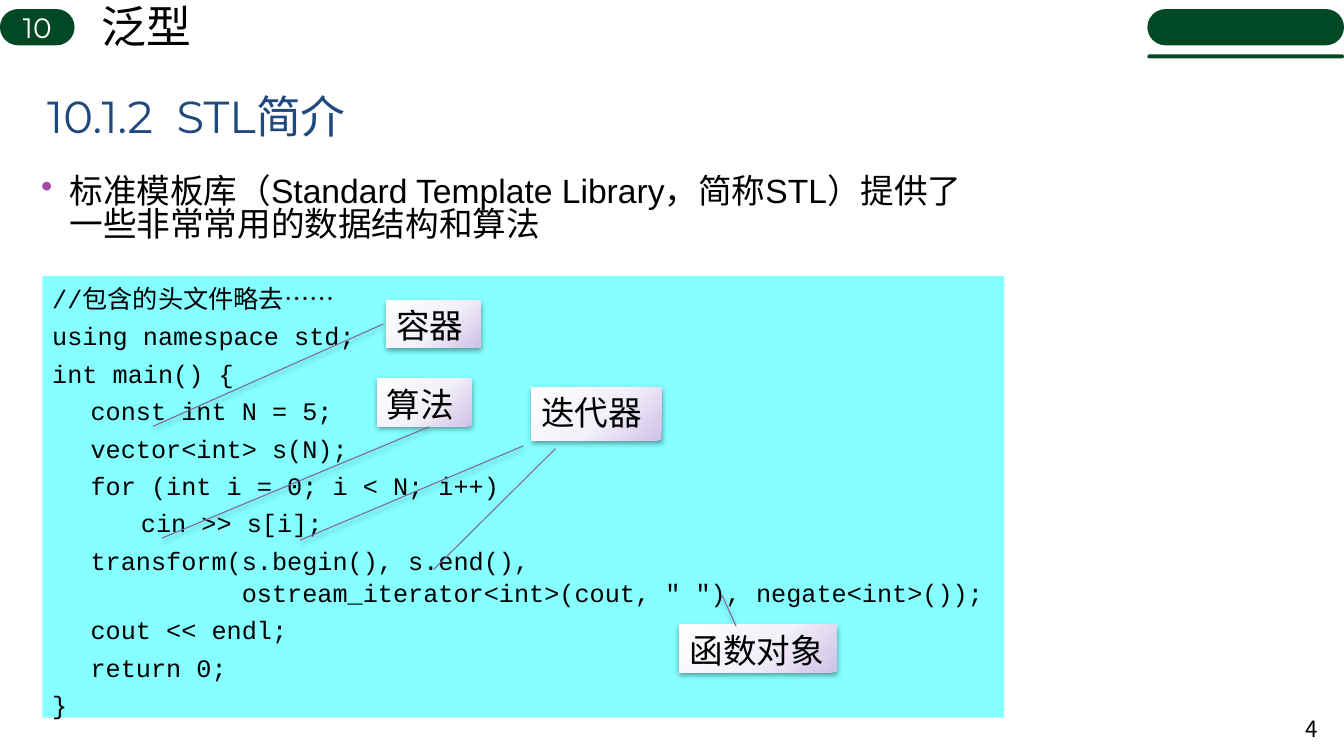
from lxml.etree import SubElement
from pptx import Presentation
from pptx.dml.color import RGBColor
from pptx.enum.shapes import MSO_CONNECTOR, MSO_SHAPE
from pptx.enum.text import MSO_ANCHOR, PP_ALIGN
from pptx.oxml import parse_xml
from pptx.oxml.ns import nsdecls, qn
from pptx.util import Inches, Pt

GREEN, PURPLE, BLACK = "014924", "8064A2", "000000"
CJK_FONT = "Noto Sans CJK SC"


def color(value):
    return RGBColor.from_string(value)


def write(shape, lines, font, size, ink=BLACK, wrap=True,
          anchor=MSO_ANCHOR.TOP, **formats):
    """Fill a shape with paragraphs; formats holds paragraph attributes."""
    frame = shape.text_frame
    frame.word_wrap = wrap
    frame.vertical_anchor = anchor
    for number, line in enumerate(lines):
        para = frame.add_paragraph() if number else frame.paragraphs[0]
        para.text = line
        for name, value in {"alignment": PP_ALIGN.LEFT, **formats}.items():
            if number or name != "space_before":
                setattr(para, name, value)
        for span in para.runs:
            for name, value in {"name": font, "size": Pt(size)}.items():
                setattr(span.font, name, value)
            span.font.color.rgb = color(ink)
            SubElement(span.font._element, qn("a:ea"), typeface=CJK_FONT)


deck = Presentation()
deck.slide_width, deck.slide_height = Inches(13.33), Inches(7.5)
page = deck.slides.add_slide(deck.slide_layouts[6])

# Green pills: a grouped pair at the right, the chapter number at the left
corner = page.shapes.add_group_shape()
pills = []
for parent, left, top, width, height in [
    (corner, 11.38, 0.09, 1.95, 0.36),
    (corner, 11.38, 0.54, 1.95, 0.04),
    (page, 0, 0.09, 0.74, 0.36),
]:
    pill = parent.shapes.add_shape(
        MSO_SHAPE.ROUNDED_RECTANGLE,
        Inches(left), Inches(top), Inches(width), Inches(height))
    pill.adjustments[0] = 0.5
    pill.shadow.inherit = False
    pill.fill.solid()
    pill.fill.fore_color.rgb = color(GREEN)
    pill.line.fill.background()
    pills.append(pill)
write(pills[-1], ["10"], "Montserrat", 20, "FFFFFF",
      anchor=MSO_ANCHOR.MIDDLE, alignment=PP_ALIGN.CENTER)

# Headings, page number and introduction
middle = {"anchor": MSO_ANCHOR.MIDDLE}
for left, top, width, height, text, font, size, formats in [
    (12.68, 7.03, 0.49, 0.4, "4", CJK_FONT, 16,
     {**middle, "alignment": PP_ALIGN.RIGHT}),
    (0.91, -0.06, 1.1, 0.64, "泛型", "Arial", 32, {"wrap": False}),
    (0.37, 0.71, 4.17, 0.88, "10.1.2  STL简介", "Montserrat", 32,
     {**middle, "ink": "1F497D"}),
    (0.19, 1.71, 9.58, 0.96,
     "标准模板库（Standard Template Library，简称STL）提供了一些非常常用的数据结构和算法",
     "Arial", 24, {"line_spacing": 0.82, "space_after": Pt(6)}),
]:
    box = page.shapes.add_textbox(
        Inches(left), Inches(top), Inches(width), Inches(height))
    write(box, [text], font, size, **formats)

# Bullet of the introduction, the last box added
bullet = box.text_frame.paragraphs[0]._p.get_or_add_pPr()
bullet.set("marL", str(Inches(0.4)))
bullet.set("indent", str(Inches(-0.28)))
bullet_color = SubElement(bullet, qn("a:buClr"))
SubElement(bullet_color, qn("a:srgbClr"), val="A04DA3")
SubElement(bullet, qn("a:buChar"), char="•")

# Code panel
code = [
    "//包含的头文件略去……",
    "using namespace std;",
    "int main() {",
    "\tconst int N = 5;",
    "\tvector<int> s(N);",
    " \tfor (int i = 0; i < N; i++)",
    "\t\tcin >> s[i];",
    "\ttransform(s.begin(), s.end(),\v"
    "          ostream_iterator<int>(cout, \" \"), negate<int>());",
    "\tcout << endl;",
    "\treturn 0;",
    "}",
]
panel = page.shapes.add_shape(
    MSO_SHAPE.RECTANGLE, Inches(0.42), Inches(2.74), Inches(9.54), Inches(4.38))
panel.shadow.inherit = False
panel.fill.solid()
panel.fill.fore_color.rgb = color("85FFFF")
panel.line.fill.background()
write(panel, code, "Courier New", 18, space_before=Pt(3.6), line_spacing=1.07)
for para in panel.text_frame.paragraphs:
    indents = para._p.get_or_add_pPr()
    indents.set("marL", str(Inches(0.38)))
    indents.set("indent", str(Inches(-0.38)))

# Second pointer of the iterator label
pointer = page.shapes.add_connector(
    MSO_CONNECTOR.STRAIGHT,
    Inches(5.51), Inches(4.45), Inches(4.3), Inches(5.65))
pointer.line.color.rgb = color(PURPLE)
pointer.line.width = Pt(0.75)
SubElement(pointer._element.spPr, qn("a:effectLst"))

# Callout labels with a radial gradient and a soft shadow
stops = "".join(
    f'<a:gs pos="{place * 1000}"><a:srgbClr val="{tint}"/></a:gs>'
    for place, tint in [(0, "FEFEFE"), (55, "F3F0F9"), (100, "D0C1E7")])
gradient = (
    f'<a:gradFill {nsdecls("a")} rotWithShape="1"><a:gsLst>{stops}</a:gsLst>'
    '<a:path path="circle"><a:fillToRect l="-40000" t="-90000" '
    'r="140000" b="190000"/></a:path></a:gradFill>')
shadow = (
    f'<a:effectLst {nsdecls("a")}><a:outerShdw blurRad="{Pt(4.1)}" '
    f'dist="{Pt(2)}" dir="5400000" rotWithShape="0">'
    f'<a:srgbClr val="{BLACK}"><a:alpha val="40000"/></a:srgbClr>'
    '</a:outerShdw></a:effectLst>')
for left, top, width, height, text, font, bends in [
    (3.83, 2.98, 0.94, 0.47, "容器", "Arial", (0.5, -0.03, 2.66, -2.46)),
    (5.27, 3.84, 1.29, 0.53, "迭代器", "Times New Roman",
     (1.1, -0.06, 2.87, -1.78)),
    (6.74, 6.2, 1.56, 0.47, "函数对象", "Times New Roman",
     (0.03, 0.36, -0.63, 0.27)),
    (3.74, 3.76, 0.94, 0.47, "算法", "Times New Roman",
     (1.01, 0.55, 3.36, -2.27)),
]:
    label = page.shapes.add_shape(
        MSO_SHAPE.LINE_CALLOUT_1_NO_BORDER,
        Inches(left), Inches(top), Inches(width), Inches(height))
    for number, bend in enumerate(bends):
        label.adjustments[number] = bend
    label.line.color.rgb = color(PURPLE)
    label.line.width = Pt(0.75)
    outline = label._element.spPr.find(qn("a:ln"))
    outline.addprevious(parse_xml(gradient))
    outline.addnext(parse_xml(shadow))
    write(label, [text], font, 24)

deck.save("out.pptx")
